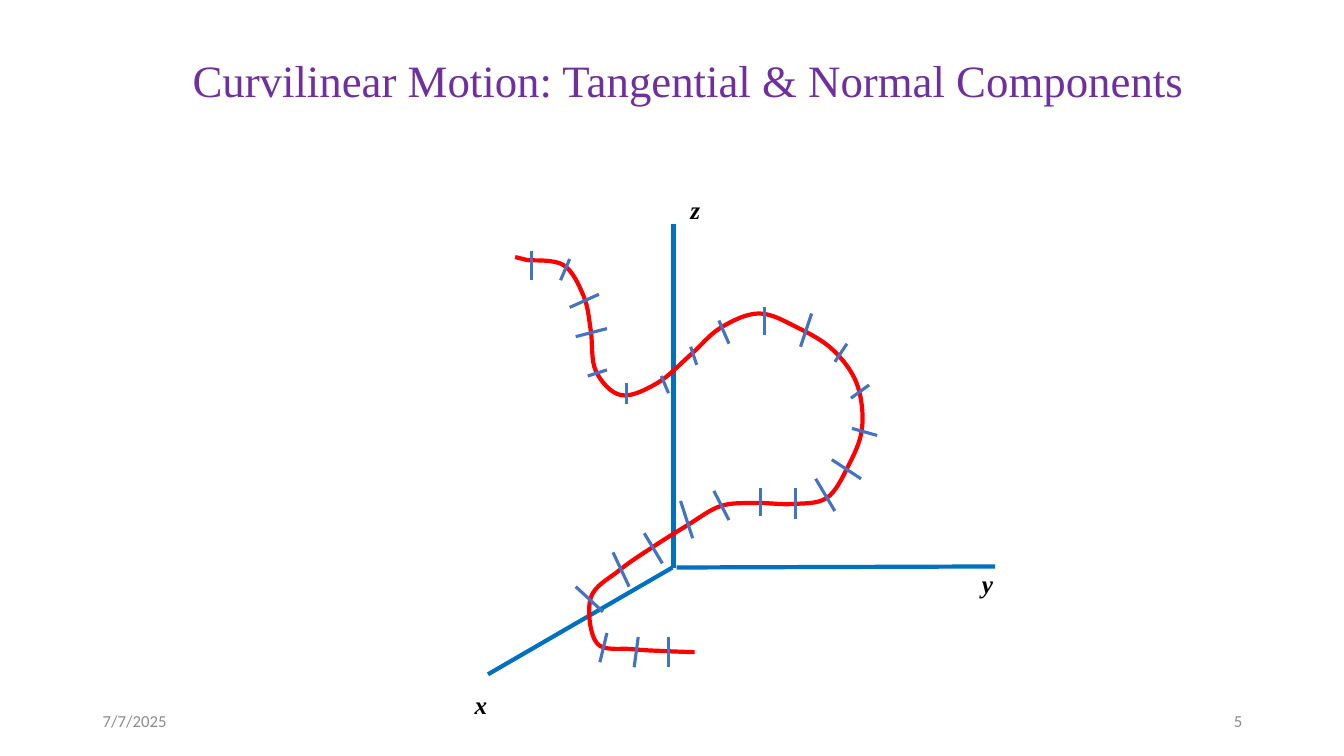
from lxml.etree import SubElement
from pptx import Presentation
from pptx.dml.color import RGBColor
from pptx.enum.shapes import MSO_CONNECTOR
from pptx.enum.text import MSO_ANCHOR, PP_ALIGN
from pptx.oxml.ns import qn
from pptx.util import Inches, Pt

SLIDE_WIDTH, SLIDE_HEIGHT = 13.33, 7.5
CELL = 0.01
SERIF, SANS = "Times New Roman", "Calibri"
PURPLE, GREY, BLACK = "6F2F9F", "8C8C8C", "000000"
AXIS_BLUE, TICK_BLUE, RED = "0070C0", "4472C4", "FF0000"

AXES = [((217, 383), (34, 489)), ((218, 42), (218, 384)), ((537, 382), (221, 383))]
AXIS_LABELS = [("x", 11, 499, 33), ("y", 514, 379, 31), ("z", 225, 8, 30)]
CURVE_KNOTS = [
    (61, 75), (73, 78), (109, 83), (129, 114), (136, 148), (141, 188), (166, 212),
    (202, 200), (235, 172), (265, 145), (303, 131), (341, 145), (376, 167), (400, 201),
    (405, 245), (391, 283), (370, 314), (336, 320), (300, 319), (265, 322), (232, 341),
    (197, 363), (164, 386), (136, 413), (142, 458), (177, 464), (211, 466), (239, 467),
]
TICKS = [
    ((77, 69), (77, 98)), ((115, 77), (106, 98)), ((144, 112), (115, 125)),
    ((152, 146), (121, 154)), ((152, 187), (133, 193)), ((171, 200), (171, 221)),
    ((206, 193), (213, 210)), ((235, 164), (241, 182)), ((263, 138), (273, 161)),
    ((308, 152), (308, 125)), ((344, 164), (355, 131)), ((378, 179), (390, 161)),
    ((394, 215), (412, 202)), ((395, 245), (420, 252)), ((375, 276), (404, 295)),
    ((359, 295), (378, 327)), ((339, 304), (339, 335)), ((304, 304), (304, 332)),
    ((258, 307), (273, 336)), ((225, 317), (237, 354)), ((189, 349), (207, 379)),
    ((158, 368), (174, 402)), ((121, 402), (148, 427)), ((145, 477), (152, 448)),
    ((179, 482), (183, 452)), ((213, 482), (213, 452)),
]


def colour(hex_code):
    return RGBColor.from_string(hex_code)


def add_text(page, box, text, font, size, hex_code, wrap=True):
    text_box = page.shapes.add_textbox(*(Inches(length) for length in box))
    frame = text_box.text_frame
    frame.word_wrap = wrap
    frame.text = text
    span = frame.paragraphs[0].runs[0]
    span.font.name, span.font.size = font, Pt(size)
    span.font.color.rgb = colour(hex_code)
    return frame


def add_line(page, start, end, hex_code, width):
    line = page.shapes.add_connector(MSO_CONNECTOR.STRAIGHT, *start, *end)
    line.line.color.rgb = colour(hex_code)
    line.line.width = Pt(width)
    SubElement(line._element.spPr, qn("a:effectLst"))


def bend(curve):
    points = [(int(point.get("x")), int(point.get("y")))
              for point in curve._element.iter(qn("a:pt"))][1:]
    padded = [points[0], *points, points[-1]]
    straight_parts = list(curve._element.iter(qn("a:lnTo")))[1:]
    for index, part in enumerate(straight_parts):
        before, start, end, after = padded[index:index + 4]
        leave = [s + (e - b) / 6 for b, s, e in zip(before, start, end)]
        arrive = [e - (a - s) / 6 for s, e, a in zip(start, end, after)]
        part.tag = qn("a:cubicBezTo")
        part.remove(part[0])
        for x, y in (leave, arrive, end):
            SubElement(part, qn("a:pt"), x=str(round(x)), y=str(round(y)))


def add_curve(page, knots):
    builder = page.shapes.build_freeform(*knots[0])
    builder.add_line_segments(knots[1:], close=False)
    curve = builder.convert_to_shape()
    curve.shadow.inherit = False
    curve.fill.background()
    curve.line.color.rgb = colour(RED)
    curve.line.width = Pt(3)
    bend(curve)


def add_title(page, box):
    frame = add_text(page, box, "Curvilinear Motion: Tangential & Normal Components",
                     SERIF, 32, PURPLE)
    frame.margin_left = frame.margin_top = Inches(CELL)
    frame.margin_right = frame.margin_bottom = 0


def add_footer(page, box):
    left, top, width, height = box
    column = 3
    for text, offset, alignment in (("7/7/2025", 0, PP_ALIGN.LEFT),
                                    ("5", width - column, PP_ALIGN.RIGHT)):
        frame = add_text(page, (left + offset, top, column, height), text, SANS, 12, GREY)
        frame.vertical_anchor = MSO_ANCHOR.MIDDLE
        frame.paragraphs[0].alignment = alignment


def add_figure(page, left, top):
    def place(point):
        column, row = point
        return Inches(left + column * CELL), Inches(top + row * CELL)

    for start, end in AXES:
        add_line(page, place(start), place(end), AXIS_BLUE, 3)
    add_curve(page, [place(knot) for knot in CURVE_KNOTS])
    for letter, column, row, columns in AXIS_LABELS:
        box = (left + column * CELL, top + row * CELL, columns * CELL, 0.4)
        frame = add_text(page, box, letter, SERIF, 18, BLACK, wrap=False)
        font = frame.paragraphs[0].runs[0].font
        font.bold = font.italic = True
    for start, end in TICKS:
        add_line(page, place(start), place(end), TICK_BLUE, 2.25)


def main():
    deck = Presentation()
    deck.slide_width, deck.slide_height = Inches(SLIDE_WIDTH), Inches(SLIDE_HEIGHT)
    page = deck.slides.add_slide(deck.slide_layouts[6])
    add_footer(page, (0.92, 6.95, 11.5, 0.4))
    add_title(page, (1.9, 0.51, 10.55, 0.56))
    add_figure(page, 4.5, 1.8)
    deck.save("out.pptx")


if __name__ == "__main__":
    main()
